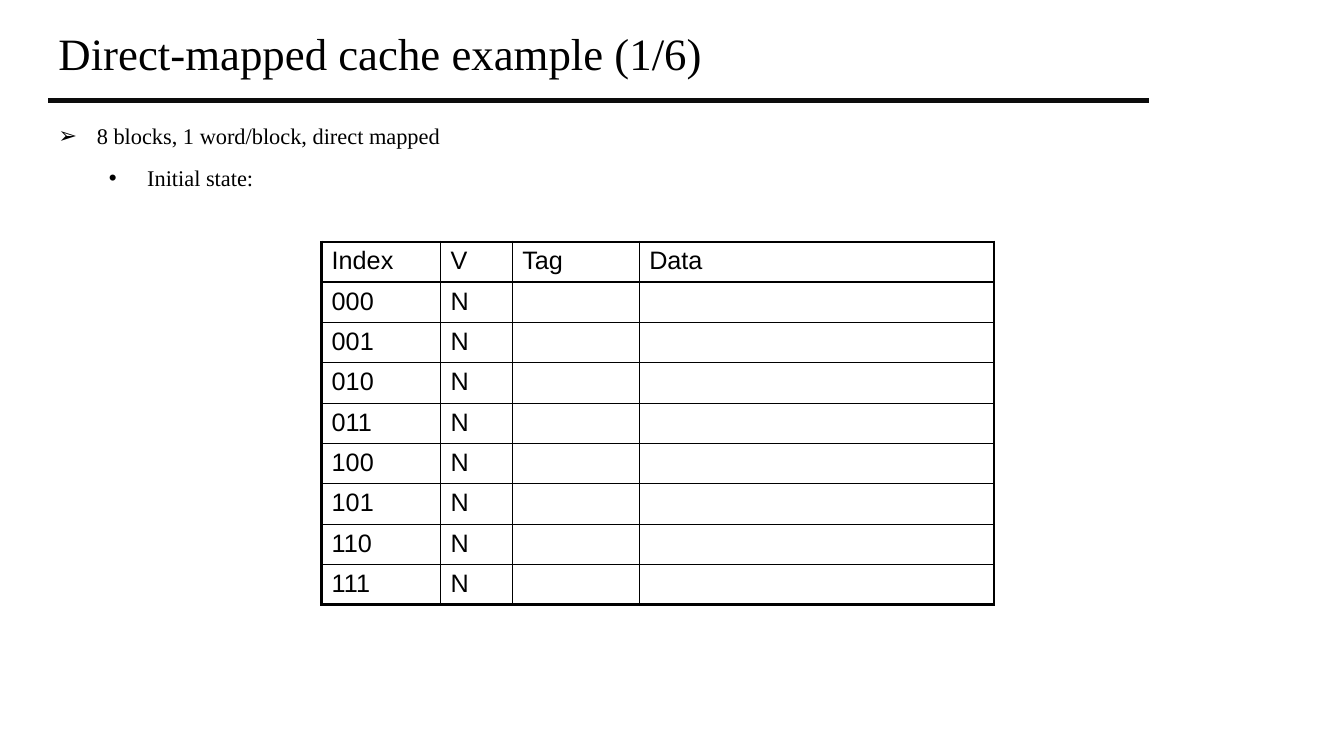
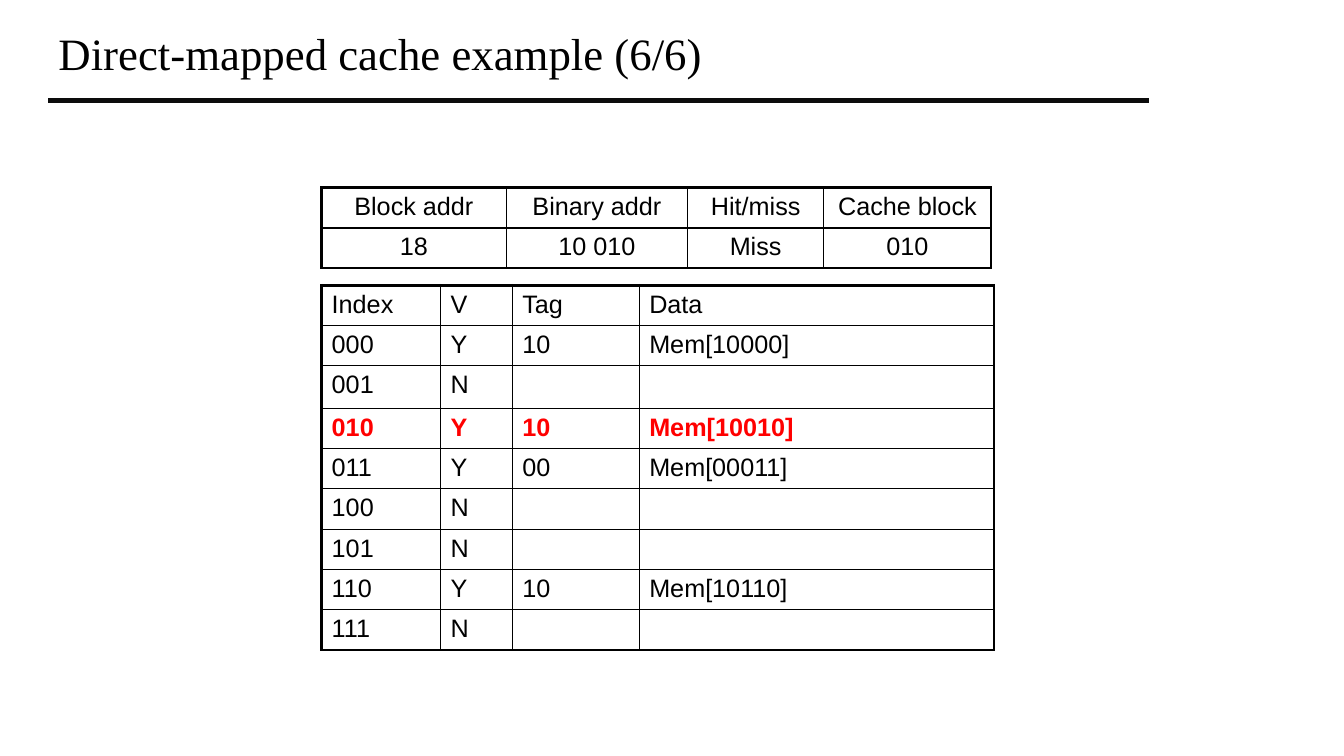
from lxml.etree import SubElement
from pptx import Presentation
from pptx.dml.color import RGBColor
from pptx.enum.shapes import MSO_CONNECTOR
from pptx.enum.text import MSO_ANCHOR, MSO_AUTO_SIZE, PP_ALIGN
from pptx.oxml.ns import qn
from pptx.util import Emu, Pt

BLACK = RGBColor(0x00, 0x00, 0x00)
RULE = RGBColor(0x0C, 0x0C, 0x0C)
RED = RGBColor(0xFF, 0x00, 0x00)
SERIF = "Times New Roman"
SANS = "Arial"
SCALE = 9144  # EMU in one px, 100 px to the inch
THICK, MID, THIN = 2.25, 1.5, 1  # cell borders in points


def px(num):
    return Emu(num * SCALE)


def write(par, text, font=SANS, size=18, color=BLACK, bold=False,
          align=PP_ALIGN.LEFT, space=None):
    """Put one formatted run of text in a paragraph."""
    par.alignment = align
    if space:
        par.line_spacing = space
    run = par.add_run()
    run.text = text
    run.font.name = font
    run.font.size = Pt(size)
    run.font.bold = bold
    run.font.color.rgb = color


def edge(cell, side, width):
    """Draw one border of a table cell."""
    line = SubElement(cell._tc.get_or_add_tcPr(), qn("a:ln" + side),
                      w=str(Pt(width)))
    fill = SubElement(line, qn("a:solidFill"))
    SubElement(fill, qn("a:srgbClr"), val=str(BLACK))


class Deck:
    def __init__(self):
        self.prs = Presentation()
        self.prs.slide_width = px(1333)
        self.prs.slide_height = px(750)
        self.slide = None

    def place(self, shape, left, top, width, height):
        shape.left, shape.top = px(left), px(top)
        shape.width, shape.height = px(width), px(height)
        frame = shape.text_frame
        frame.word_wrap = True
        frame.auto_size = MSO_AUTO_SIZE.NONE
        return frame

    def page(self, title, layout):
        """Start a slide with its title and the rule below it."""
        self.slide = self.prs.slides.add_slide(
            self.prs.slide_layouts.get_by_name(layout))
        frame = self.place(self.slide.shapes.title, 48, 13, 1080, 86)
        frame.vertical_anchor = MSO_ANCHOR.MIDDLE
        write(frame.paragraphs[0], title, font=SERIF, size=32, space=0.9)
        rule = self.slide.shapes.add_connector(
            MSO_CONNECTOR.STRAIGHT, px(48), px(100), px(1140), px(100))
        rule.line.color.rgb = RULE
        rule.line.width = Pt(3.75)
        SubElement(rule._element.spPr, qn("a:effectLst"))

    def points(self, items):
        """Fill the body with (level, mark, text) items."""
        frame = self.place(self.slide.placeholders[1], 48, 103, 1092, 126)
        for num, (level, mark, text) in enumerate(items):
            par = frame.add_paragraph() if num else frame.paragraphs[0]
            par.level = level
            par.space_before = Pt(1)
            write(par, text, font=SERIF, size=16, space=1.5)
            prop = par._p.get_or_add_pPr()
            prop.set("marL", str(px(38 + 50 * level)))
            prop.set("indent", str(px(-38)))
            SubElement(prop, qn("a:buFont"), typeface=SANS)
            SubElement(prop, qn("a:buChar"), char=mark)

    def grid(self, top, cols, rows, tall=None, hot=None,
             align=PP_ALIGN.LEFT):
        """Draw a table; tall maps a row to its height, hot is a red row."""
        highs = [(tall or {}).get(r, 40) for r in range(len(rows))]
        table = self.slide.shapes.add_table(
            len(rows), len(cols), px(319), px(top),
            px(sum(cols)), px(sum(highs))).table
        table.first_row = table.horz_banding = False
        for col, width in zip(table.columns, cols):
            col.width = px(width)
        for row, high in zip(table.rows, highs):
            row.height = px(high)
        last, end = len(rows) - 1, len(cols) - 1
        for r, row in enumerate(rows):
            for c, text in enumerate(row):
                cell = table.cell(r, c)
                red = r == hot
                write(cell.text_frame.paragraphs[0], text, align=align,
                      color=RED if red else BLACK, bold=red)
                edge(cell, "L", THIN if c else THICK)
                edge(cell, "R", THICK if c == end else THIN)
                edge(cell, "T", {0: THICK, 1: MID}.get(r, THIN))
                edge(cell, "B", THICK if r == last else THIN if r else MID)
                cell.fill.background()

    def cache(self, top, used, **form):
        """Draw the eight cache blocks; used maps an index to (tag, data)."""
        rows = [("Index", "V", "Tag", "Data")]
        for num in range(8):
            index = f"{num:03b}"
            valid = "Y" if index in used else "N"
            rows.append((index, valid, *used.get(index, ("", ""))))
        self.grid(top, [118, 71, 126, 352], rows, **form)


def main():
    deck = Deck()

    # Initial state
    deck.page("Direct-mapped cache example (1/6)", "Title and Content")
    deck.points([(0, "➢", "8 blocks, 1 word/block, direct mapped"),
                 (1, "•", "Initial state:")])
    deck.cache(240, {})

    # Last access
    deck.page("Direct-mapped cache example (6/6)", "Title Only")
    deck.cache(283, {"000": ("10", "Mem[10000]"),
                     "010": ("10", "Mem[10010]"),
                     "011": ("00", "Mem[00011]"),
                     "110": ("10", "Mem[10110]")}, tall={2: 42}, hot=3)
    deck.grid(186, [183, 180, 135, 166],
              [("Block addr", "Binary addr", "Hit/miss", "Cache block"),
               ("18", "10 010", "Miss", "010")], align=PP_ALIGN.CENTER)

    deck.prs.save("out.pptx")


if __name__ == "__main__":
    main()
